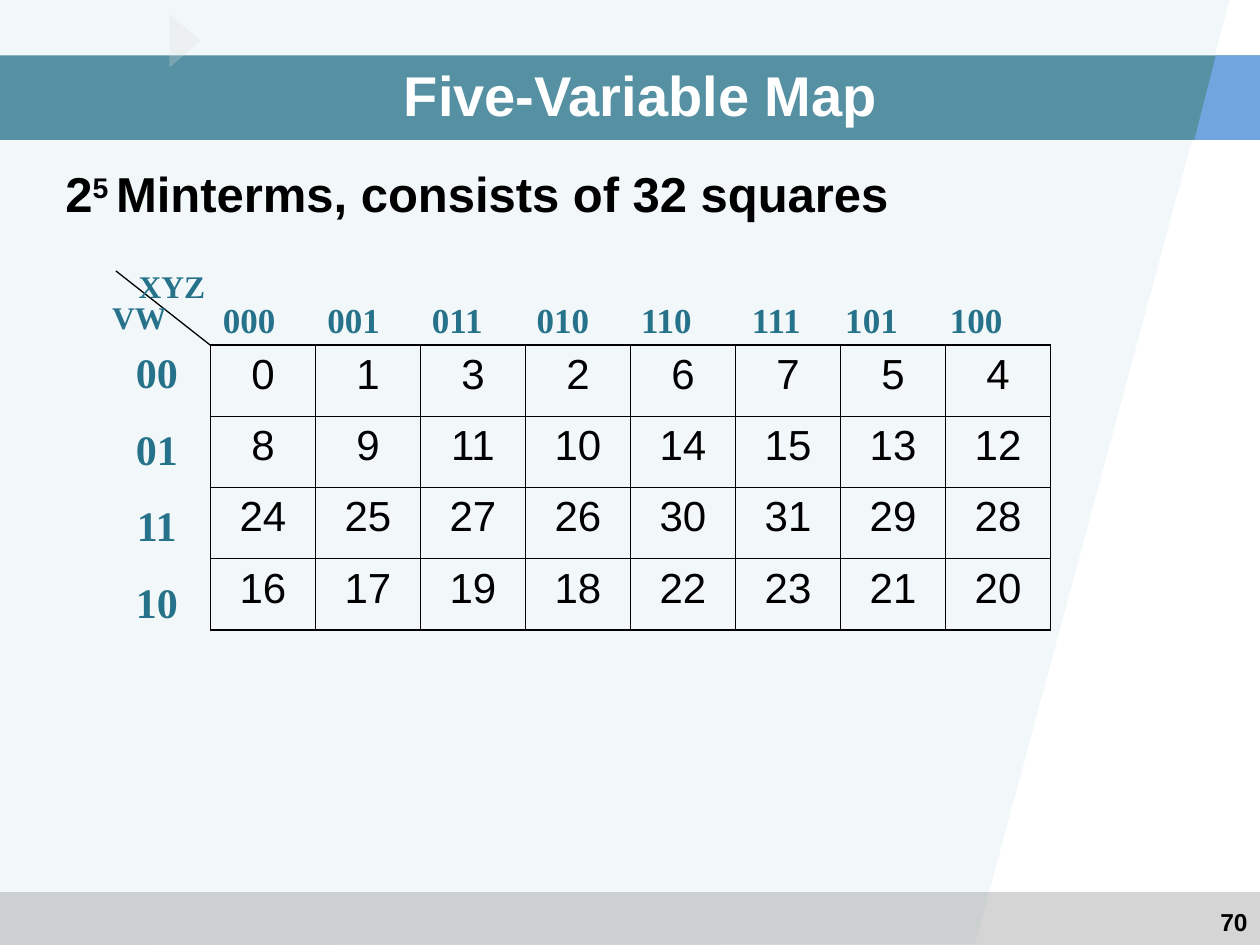
from typing import NamedTuple

from lxml import etree
from pptx import Presentation
from pptx import util as u
from pptx.dml.color import RGBColor
from pptx.enum import shapes, text
from pptx.oxml import ns

Inches = u.Inches
TEAL, BLACK, WHITE = "26728A", "000000", "FFFFFF"
SANS, SERIF = "Arial", "Times New Roman"
LEFT, CENTER, RIGHT = text.PP_ALIGN.LEFT, text.PP_ALIGN.CENTER, text.PP_ALIGN.RIGHT

MAP_LEFT, MAP_TOP, MAP_WIDTH, MAP_HEIGHT = 1.67, 2.74, 6.67, 2.26
MINTERMS = [
    [0, 1, 3, 2, 6, 7, 5, 4],
    [8, 9, 11, 10, 14, 15, 13, 12],
    [24, 25, 27, 26, 30, 31, 29, 28],
    [16, 17, 19, 18, 22, 23, 21, 20],
]
XYZ_CODES = ["000", "001", "011", "010", "110", "111", "101", "100"]
XYZ_STOPS = [0.83, 1.66, 2.49, 3.32, 4.2, 4.94, 5.77]


class Band(NamedTuple):
    preset: shapes.MSO_SHAPE
    box: tuple[float, float, float, float]
    color: str
    opacity: int
    rotation: int = 0


class Outline(NamedTuple):
    points: list[tuple[float, float]]
    color: str
    opacity: int = 100


class Label(NamedTuple):
    lines: list[str]
    box: tuple[float, float, float, float]
    size: int
    font: str = SERIF
    color: str = TEAL
    align: text.PP_ALIGN = CENTER
    anchor: text.MSO_ANCHOR = text.MSO_ANCHOR.TOP
    wrap: bool = False
    gap: int = 0


def rgb(color: str) -> RGBColor:
    return RGBColor.from_string(color)


def paint(shape, color: str, opacity: int) -> None:
    shape.shadow.inherit = False
    shape.line.fill.background()
    shape.fill.solid()
    shape.fill.fore_color.rgb = rgb(color)
    if opacity < 100:
        tint = shape.fill._xPr.find(f".//{ns.qn('a:srgbClr')}")
        etree.SubElement(tint, ns.qn("a:alpha"), val=str(opacity * 1000))


def draw_band(slide, band: Band) -> None:
    shape = slide.shapes.add_shape(band.preset, *map(Inches, band.box))
    shape.rotation = band.rotation
    paint(shape, band.color, band.opacity)


def draw_outline(slide, outline: Outline) -> None:
    start, *rest = [(Inches(x), Inches(y)) for x, y in outline.points]
    builder = slide.shapes.build_freeform(*start)
    builder.add_line_segments(rest, close=True)
    paint(builder.convert_to_shape(), outline.color, outline.opacity)


def style(font, name: str, size: int, color: str, bold: bool = True) -> None:
    font.name, font.size, font.bold = name, u.Pt(size), bold
    font.color.rgb = rgb(color)


def draw_label(slide, label: Label):
    frame = slide.shapes.add_textbox(*map(Inches, label.box)).text_frame
    frame.text = "\n".join(label.lines)
    frame.word_wrap = label.wrap
    frame.vertical_anchor = label.anchor
    for index, paragraph in enumerate(frame.paragraphs):
        paragraph.alignment = label.align
        if index:
            paragraph.space_before = u.Pt(label.gap)
        for run in paragraph.runs:
            style(run.font, label.font, label.size, label.color)
    return frame


def add_tab_stops(paragraph, stops: list[float]) -> None:
    tabs = etree.SubElement(paragraph._p.get_or_add_pPr(), ns.qn("a:tabLst"))
    for stop in stops:
        etree.SubElement(tabs, ns.qn("a:tab"), pos=str(Inches(stop)), algn="l")


def set_borders(cell, widths: dict[str, float]) -> None:
    properties = cell._tc.get_or_add_tcPr()
    for index, (side, width) in enumerate(widths.items()):
        border = etree.Element(ns.qn(f"a:ln{side}"), w=str(u.Pt(width)))
        fill = etree.SubElement(border, ns.qn("a:solidFill"))
        etree.SubElement(fill, ns.qn("a:srgbClr"), val=BLACK)
        properties.insert(index, border)


def draw_map(slide, values: list[list[int]]) -> None:
    rows, columns = len(values), len(values[0])
    box = map(Inches, (MAP_LEFT, MAP_TOP, MAP_WIDTH, MAP_HEIGHT))
    grid = slide.shapes.add_table(rows, columns, *box).table
    grid.first_row = grid.horz_banding = False
    for r, row in enumerate(values):
        for c, minterm in enumerate(row):
            cell = grid.cell(r, c)
            cell.fill.background()
            cell.text_frame.text = str(minterm)
            paragraph = cell.text_frame.paragraphs[0]
            paragraph.alignment = CENTER
            style(paragraph.runs[0].font, SANS, 24, BLACK, bold=False)
            edges = {"L": c == 0, "R": c == columns - 1, "T": r == 0, "B": r == rows - 1}
            set_borders(cell, {side: 1.08 if outer else 0.45 for side, outer in edges.items()})


def draw_corner_line(slide) -> None:
    ends = map(Inches, (0.92, 2.15, MAP_LEFT, MAP_TOP))
    corner = slide.shapes.add_connector(shapes.MSO_CONNECTOR.STRAIGHT, *ends)
    corner.line.color.rgb = rgb(BLACK)
    corner.line.width = u.Pt(0.75)
    etree.SubElement(corner._element.spPr, ns.qn("a:effectLst"))


def main() -> None:
    deck = Presentation()
    deck.slide_width, deck.slide_height = Inches(10), Inches(7.5)
    slide = deck.slides.add_slide(deck.slide_layouts[6])

    # Background
    draw_outline(slide, Outline([(0, 0), (9.76, 0), (7.74, 7.49), (0, 7.5)], "9FCAD3", 13))
    rectangle = shapes.MSO_SHAPE.RECTANGLE
    draw_band(slide, Band(rectangle, (0, 7.08, 10, 0.42), "969696", 40))
    draw_band(slide, Band(rectangle, (0, 0.44, 10, 0.67), TEAL, 77))
    draw_outline(slide, Outline([(9.65, 0.44), (9.48, 1.11), (10, 1.11), (10, 0.44)], "71A5DF"))
    triangle = shapes.MSO_SHAPE.ISOSCELES_TRIANGLE
    draw_band(slide, Band(triangle, (1.26, 0.2, 0.42, 0.25), "DDDDDD", 27, 90))

    # Page number, title and statement
    draw_label(slide, Label(["70"], (7.67, 7.15, 2.33, 0.35), 14, SANS, BLACK, RIGHT, wrap=True))
    draw_label(slide, Label(["Five-Variable Map"], (0.5, 0.5, 9.17, 0.5), 32, SANS, WHITE,
                            anchor=text.MSO_ANCHOR.MIDDLE, wrap=True))
    statement = draw_label(slide, Label(["2"], (0.42, 1.25, 9, 5.58), 28, SANS, BLACK, LEFT,
                                        wrap=True)).paragraphs[0]
    for part, baseline in (("5 ", "30000"), ("Minterms, consists of 32 squares", "0")):
        run = statement.add_run()
        run.text = part
        style(run.font, SANS, 28, BLACK)
        run.font._element.set("baseline", baseline)

    # Map with its variable names and codes
    draw_map(slide, MINTERMS)
    draw_corner_line(slide)
    draw_label(slide, Label(["XYZ"], (1, 2.07, 0.73, 0.4), 18))
    xyz_codes = draw_label(slide, Label(["\t".join(XYZ_CODES)], (MAP_LEFT, 2.32, MAP_WIDTH, 0.44),
                                        20, align=LEFT, wrap=True))
    add_tab_stops(xyz_codes.paragraphs[0], XYZ_STOPS)
    draw_label(slide, Label(["VW"], (0.79, 2.32, 0.63, 0.4), 18))
    draw_label(slide, Label(["00", "01", "11", "10"], (0.98, 2.7, 0.53, 2.33), 24, gap=15))

    deck.save("out.pptx")


if __name__ == "__main__":
    main()
